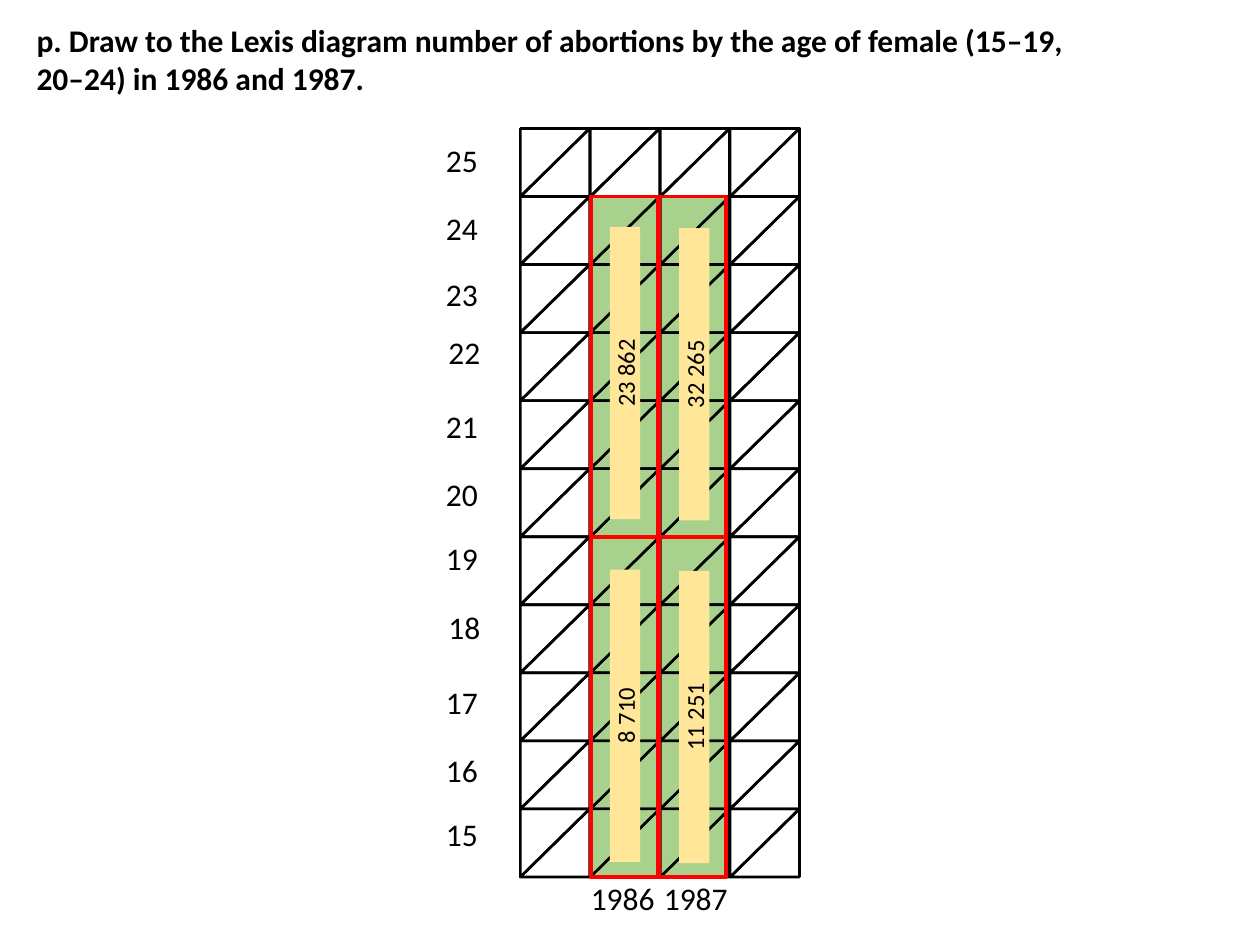
import pptx
import pptx.util
import pptx.dml.color
import pptx.enum.shapes
import pptx.enum.text
from dataclasses import dataclass

Inches, Pt = pptx.util.Inches, pptx.util.Pt
RGB = pptx.dml.color.RGBColor.from_string
Shape = pptx.enum.shapes.MSO_SHAPE
Align, Anchor = pptx.enum.text.PP_ALIGN, pptx.enum.text.MSO_ANCHOR


@dataclass
class Theme:
    font: str = "Calibri"
    body: float = 18
    count: float = 14
    ink: str = "000000"
    event: str = "A9D18E"
    bar: str = "FFE699"
    frame: str = "FF0000"
    grid_width: float = 1.5
    frame_width: float = 2.25


def write(sp, text, size, font, color, bold=False, align=Align.LEFT,
          anchor=Anchor.TOP, margins=(0.1, 0.05)):
    """Put one formatted paragraph into a shape."""
    tf = sp.text_frame
    tf.word_wrap = True
    tf.vertical_anchor = anchor
    tf.margin_left = tf.margin_right = Inches(margins[0])
    tf.margin_top = tf.margin_bottom = Inches(margins[1])
    p = tf.paragraphs[0]
    p.alignment = align
    r = p.add_run()
    r.text = text
    r.font.name, r.font.size, r.font.bold = font, Pt(size), bold
    r.font.color.rgb = RGB(color)


class LexisSlide:
    def __init__(self, prs, theme):
        self.theme = theme
        self.slide = prs.slides.add_slide(prs.slide_layouts[5])

    def title(self, text, x, y, w, h):
        sp = self.slide.shapes.title
        sp.left, sp.top, sp.width, sp.height = map(Inches, (x, y, w, h))
        t = self.theme
        write(sp, text, t.body, t.font, t.ink, bold=True)

    def label(self, text, x, y, w=0.68, h=0.4):
        sp = self.slide.shapes.add_textbox(*map(Inches, (x, y, w, h)))
        t = self.theme
        write(sp, text, t.body, t.font, t.ink)

    def shape(self, kind, x, y, w, h, fill=None, line=None, width=0, rotation=0):
        sp = self.slide.shapes.add_shape(kind, *map(Inches, (x, y, w, h)))
        sp.shadow.inherit = False
        sp.rotation = rotation
        if fill:
            sp.fill.solid()
            sp.fill.fore_color.rgb = RGB(fill)
        else:
            sp.fill.background()
        if line:
            sp.line.color.rgb = RGB(line)
            sp.line.width = Pt(width)
        else:
            sp.line.fill.background()
        return sp

    def cell(self, x, y, w, h, fill=None):
        """Split a cell along its rising diagonal into two triangles."""
        t = self.theme
        # A quarter turn swaps the sides, so start from an h by w box
        left, top = x + (w - h) / 2, y + (h - w) / 2
        for rotation in (270, 90):
            self.shape(Shape.RIGHT_TRIANGLE, left, top, h, w, fill,
                       t.ink, t.grid_width, rotation)

    def frame(self, x, y, w, h):
        t = self.theme
        self.shape(Shape.RECTANGLE, x, y, w, h, None, t.frame, t.frame_width)

    def count_bar(self, text, cx, cy, length=2.32, thickness=0.24):
        t = self.theme
        sp = self.shape(Shape.RECTANGLE, cx - length / 2, cy - thickness / 2,
                        length, thickness, t.bar, rotation=270)
        write(sp, text, t.count, t.font, t.ink, align=Align.CENTER,
              anchor=Anchor.MIDDLE, margins=(0, 0))


def main():
    prs = pptx.Presentation()
    prs.slide_width, prs.slide_height = Inches(10), Inches(7.5)
    theme = Theme()
    s = LexisSlide(prs, theme)
    s.title("p. Draw to the Lexis diagram number of abortions by the age of "
            "female (15–19, 20–24) in 1986 and 1987.", 0.19, 0.12, 8.68, 0.71)

    # Lexis grid: one column per year, one row per age
    x0, y0, cell_w, cell_h = 4.13, 1.02, 0.55, 0.54
    pitch = 0.555
    for row in range(11):
        for col in range(4):
            counted = row > 0 and col in (1, 2)
            s.cell(x0 + col * pitch, y0 + row * cell_h, cell_w, cell_h,
                   theme.event if counted else None)

    # Age labels, oldest at the top
    age_tops = (1.07, 1.61, 2.13, 2.59, 3.18, 3.72, 4.23, 4.78, 5.37, 5.91, 6.42)
    for i, top in enumerate(age_tops):
        age = 25 - i
        s.label(str(age), 3.46 if age in (18, 22) else 3.44, top)

    # Year labels
    for year, x in (("1986", 4.59), ("1987", 5.17)):
        s.label(year, x, 6.93, w=0.75)

    # Five-year age groups: red frame and count for each year
    groups = ((1.56, 2.96, ("23 862", "32 265")),
              (4.26, 5.68, ("8 710", "11 251")))
    for top, middle, counts in groups:
        for i, count in enumerate(counts):
            s.frame(4.69 + i * 0.54, top, 0.53, 2.7)
            s.count_bar(count, 4.96 + i * 0.55, middle + i * 0.01)

    prs.save("out.pptx")


if __name__ == "__main__":
    main()
